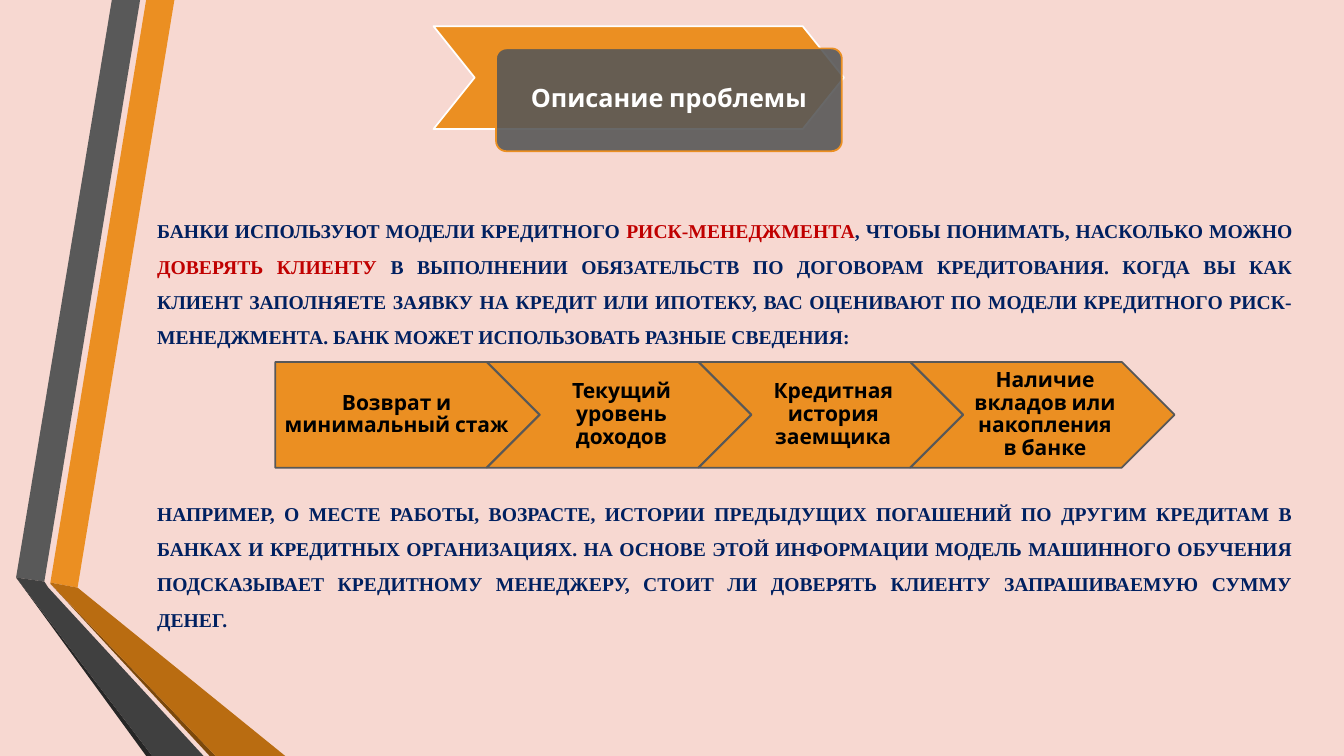
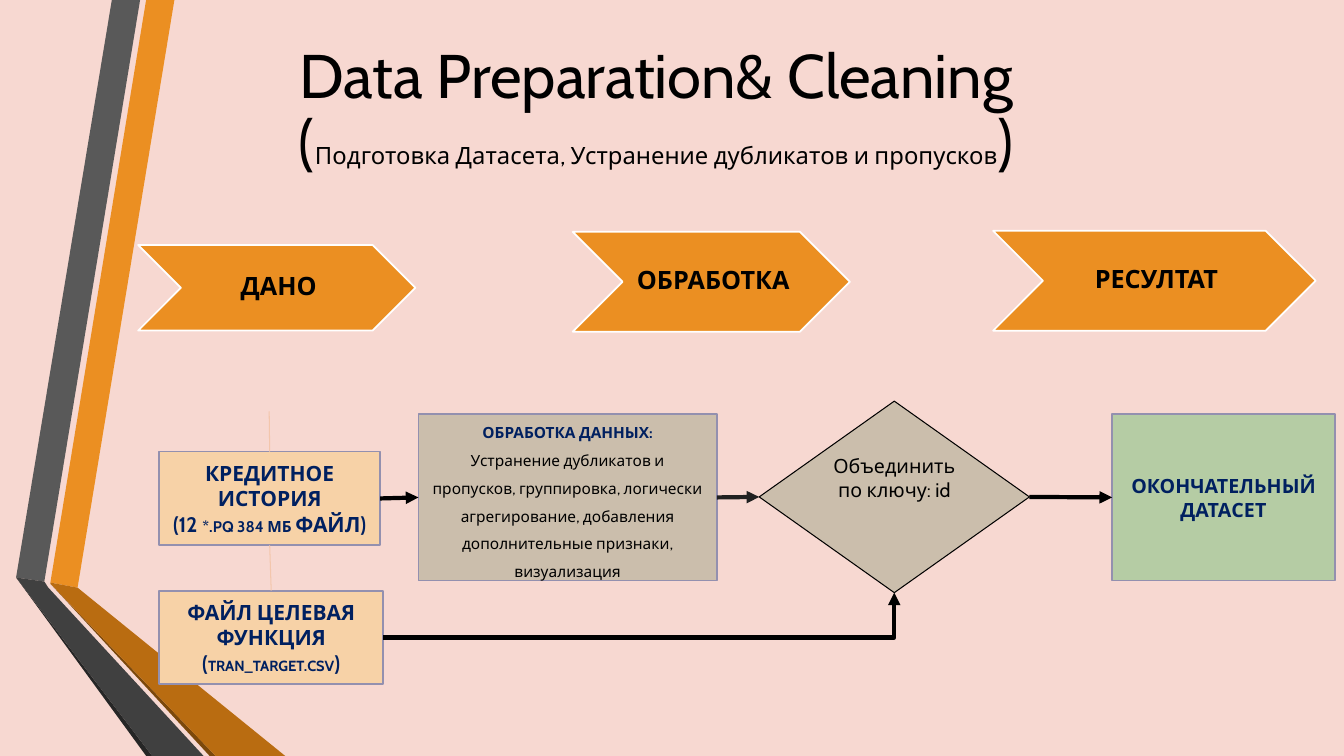
import pptx
import pptx.dml.color
import pptx.enum.shapes
import pptx.enum.text
import pptx.oxml.ns
import pptx.util
from lxml import etree

Inches = pptx.util.Inches
Pt = pptx.util.Pt
SHAPE = pptx.enum.shapes.MSO_SHAPE
CONNECTOR = pptx.enum.shapes.MSO_CONNECTOR
ALIGN = pptx.enum.text.PP_ALIGN
ANCHOR = pptx.enum.text.MSO_ANCHOR
qn = pptx.oxml.ns.qn

# Shared look
FONT, SERIF = "Cabin", "Times New Roman"
PINK, ORANGE, GREY = "F7D8D1", "EB8F22", "585858"
BLACK, WHITE, NAVY, RED = "000000", "FFFFFF", "002060", "C00000"
PEACH, SAND, GREEN, LILAC, THREAD = "F7D2A7", "CBBEAC", "B5CCA4", "9390AF", "F3C6AC"
TOP, LEFT, BOTTOM, RIGHT = range(4)

RIBBONS = [
    (ORANGE, [(0.5, 5.78), (0.77, 5.83), (1.73, 0), (1.45, 0)]),
    ("595959", [(1.39, 0), (1.11, 0), (0.16, 5.73), (0.44, 5.77)]),
    ("262626", [(0.16, 5.73), (1.45, 7.5), (1.51, 7.5)]),
    ("7B480B", [(0.5, 5.79), (2.08, 7.5), (2.14, 7.5)]),
    ("B96C11", [(0.5, 5.79), (2.14, 7.5), (2.83, 7.5), (0.77, 5.83), (0.5, 5.78)]),
    ("404040", [(2.02, 7.5), (0.48, 5.83), (0.44, 5.77), (0.16, 5.73), (1.51, 7.5)]),
]


def rgb(color):
    return pptx.dml.color.RGBColor.from_string(color)


def paint(sp, fill, line=None, width=1.25):
    sp.shadow.inherit = False
    sp.fill.solid()
    sp.fill.fore_color.rgb = rgb(fill)
    if line:
        sp.line.color.rgb = rgb(line)
        sp.line.width = Pt(width)
    else:
        sp.line.fill.background()


def write(sp, paragraphs, size, color=BLACK, bold=False, font=FONT, align=ALIGN.CENTER,
          spacing=1.0, anchor=ANCHOR.MIDDLE, insets=(0.1, 0.05, 0.1, 0.05)):
    """Each paragraph is a list of (text, font overrides) runs."""
    tf = sp.text_frame
    tf.word_wrap = True
    tf.vertical_anchor = anchor
    tf.margin_left, tf.margin_top, tf.margin_right, tf.margin_bottom = map(Inches, insets)
    for i, runs in enumerate(paragraphs):
        p = tf.add_paragraph() if i else tf.paragraphs[0]
        p.alignment, p.line_spacing = align, spacing
        p.font.name, p.font.size, p.font.bold = font, Pt(size), bold
        p.font.color.rgb = rgb(color)
        for text, changes in runs:
            r = p.add_run()
            r.text = text
            if "size" in changes:
                r.font.size = Pt(changes["size"])
            if "color" in changes:
                r.font.color.rgb = rgb(changes["color"])
            if "bold" in changes:
                r.font.bold = changes["bold"]
    return tf


def add_box(slide, kind, at, fill, line, width=1.25):
    sp = slide.shapes.add_shape(kind, *map(Inches, at))
    paint(sp, fill, line, width)
    return sp


def add_text(slide, at, paragraphs, size, **style):
    sp = slide.shapes.add_textbox(*map(Inches, at))
    return write(sp, paragraphs, size, **style)


def add_arrow_label(slide, kind, at, line, text, size, insets):
    sp = add_box(slide, kind, at, ORANGE, line)
    write(sp, [[(text, {})]], size, bold=True, spacing=0.9, insets=insets)


def add_node(slide, at, fill, paragraphs, size, **style):
    sp = add_box(slide, SHAPE.RECTANGLE, at, fill, LILAC)
    write(sp, paragraphs, size, color=NAVY, bold=True, **style)
    return sp


def add_link(slide, end, start=None, start_at=(0, 0), color=BLACK, width=3,
             arrow=True, bent=False):
    """Join start and end, each a (shape, side) pair."""
    kind = CONNECTOR.ELBOW if bent else CONNECTOR.STRAIGHT
    x, y = map(Inches, start_at)
    cx = slide.shapes.add_connector(kind, x, y, x, y)
    if start:
        cx.begin_connect(*start)
    cx.end_connect(*end)
    cx.line.color.rgb = rgb(color)
    cx.line.width = Pt(width)
    spPr = cx.element.spPr
    if bent:
        spPr.find(qn("a:prstGeom")).set("prst", "bentConnector2")
    if arrow:
        etree.SubElement(spPr.find(qn("a:ln")), qn("a:tailEnd"), type="triangle")
    etree.SubElement(spPr, qn("a:effectLst"))


def decorate_master(prs, slide):
    """Set the background and move the side ribbons to the master."""
    master = prs.slide_master
    master.background.fill.solid()
    master.background.fill.fore_color.rgb = rgb(PINK)
    for i, (color, points) in enumerate(RIBBONS):
        corners = [(Inches(x), Inches(y)) for x, y in points]
        builder = slide.shapes.build_freeform(*corners[0])
        builder.add_line_segments(corners[1:], close=True)
        sp = builder.convert_to_shape()
        paint(sp, color)
        sp.element.find(".//" + qn("p:cNvPr")).set("id", str(100 + i))
        master.shapes.element.append(sp.element)


def build_problem(slide):
    # Heading
    ribbon = add_box(slide, SHAPE.CHEVRON, (4.3, 0.26, 4.07, 1.02), ORANGE, WHITE)
    ribbon.adjustments[0] = 0.4
    plate = add_box(slide, SHAPE.ROUNDED_RECTANGLE, (4.92, 0.48, 3.43, 1.02), GREY, ORANGE)
    plate.adjustments[0] = 0.1
    tint = plate.element.spPr.find(qn("a:solidFill")).find(qn("a:srgbClr"))
    etree.SubElement(tint, qn("a:alpha"), val="90000")
    write(plate, [[("Описание проблемы", {})]], 18, color=WHITE, bold=True,
          spacing=0.9, insets=(0.1,) * 4)

    # Body, with room for the chevrons between its paragraphs
    red = {"color": RED}
    tf = add_text(slide, (1.46, 2.01, 11.46, 4.75), [
        [("БАНКИ ИСПОЛЬЗУЮТ МОДЕЛИ КРЕДИТНОГО ", {}),
         ("РИСК-МЕНЕДЖМЕНТА", red),
         (", ЧТОБЫ ПОНИМАТЬ, НАСКОЛЬКО МОЖНО ", {}),
         ("ДОВЕРЯТЬ КЛИЕНТУ ", red),
         ("В ВЫПОЛНЕНИИ ОБЯЗАТЕЛЬСТВ ПО ДОГОВОРАМ КРЕДИТОВАНИЯ. КОГДА ВЫ КАК КЛИЕНТ "
          "ЗАПОЛНЯЕТЕ ЗАЯВКУ НА КРЕДИТ ИЛИ ИПОТЕКУ, ВАС ОЦЕНИВАЮТ ПО МОДЕЛИ КРЕДИТНОГО "
          "РИСК-МЕНЕДЖМЕНТА. БАНК МОЖЕТ ИСПОЛЬЗОВАТЬ РАЗНЫЕ СВЕДЕНИЯ:", {})],
        [("НАПРИМЕР, О МЕСТЕ РАБОТЫ, ВОЗРАСТЕ, ИСТОРИИ ПРЕДЫДУЩИХ ПОГАШЕНИЙ ПО ДРУГИМ "
          "КРЕДИТАМ В БАНКАХ И КРЕДИТНЫХ ОРГАНИЗАЦИЯХ. НА ОСНОВЕ ЭТОЙ ИНФОРМАЦИИ МОДЕЛЬ "
          "МАШИННОГО ОБУЧЕНИЯ ПОДСКАЗЫВАЕТ КРЕДИТНОМУ МЕНЕДЖЕРУ, СТОИТ ЛИ ДОВЕРЯТЬ "
          "КЛИЕНТУ ЗАПРАШИВАЕМУЮ СУММУ ДЕНЕГ.", {})],
    ], 14, color=NAVY, bold=True, font=SERIF, align=ALIGN.JUSTIFY, spacing=1.5,
        anchor=ANCHOR.TOP)
    tf.paragraphs[1].space_before = Pt(101)

    # Kinds of client data
    facts = ["Возврат и минимальный стаж", "Текущий уровень доходов",
             "Кредитная история заемщика", "Наличие вкладов или накопления в банке"]
    for i, fact in enumerate(facts):
        kind = SHAPE.CHEVRON if i else SHAPE.PENTAGON
        add_arrow_label(slide, kind, (2.73 + 2.1 * i, 3.59, 2.62, 1.05), GREY, fact, 15,
                        (0.07, 0.04, 0.02, 0.04))


def build_preparation(slide):
    # Title
    add_text(slide, (0.76, 0.26, 11.5, 1.69), [
        [("Data Preparation& Cleaning", {})],
        [("(", {}),
         ("Подготовка Датасета, Устранение дубликатов и пропусков", {"size": 17}),
         (")", {})],
    ], 44, spacing=0.9)

    # Stages
    for at, stage in [((1.37, 2.43, 2.75, 0.85), "ДАНО"),
                      ((5.68, 2.3, 2.75, 0.99), "ОБРАБОТКА"),
                      ((9.85, 2.29, 3.2, 0.99), "РЕСУЛТАТ")]:
        add_arrow_label(slide, SHAPE.CHEVRON, at, WHITE, stage, 18,
                        (0.06, 0.02, 0.02, 0.02))

    # Flow nodes
    history = add_node(slide, (1.58, 4.48, 2.19, 0.93), PEACH, [
        [("КРЕДИТНОЕ ИСТОРИЯ", {})],
        [("(12 ", {}), ("*.PQ 384 МБ ", {"size": 11}), ("ФАЙЛ)", {})],
    ], 15)
    target = add_node(slide, (1.58, 5.86, 2.22, 0.93), PEACH, [
        [("ФАЙЛ ЦЕЛЕВАЯ ФУНКЦИЯ (", {}), ("TRAN_TARGET.CSV", {"size": 10.5}), (")", {})],
    ], 15)
    process = add_node(slide, (4.15, 4.11, 2.96, 1.65), SAND, [
        [("ОБРАБОТКА ДАННЫХ:", {})],
        [("Устранение дубликатов и пропусков, группировка, логически агрегирование, "
          "добавления дополнительные признаки, визуализация",
          {"color": BLACK, "bold": False})],
    ], 11, spacing=1.5)
    merge = add_box(slide, SHAPE.FLOWCHART_DECISION, (7.53, 3.98, 2.68, 1.9), SAND, BLACK, 0.75)
    write(merge, [[("Объединить по ключу: id", {})]], 14, anchor=ANCHOR.TOP,
          insets=(0, 0.05, 0, 0.05))
    dataset = add_node(slide, (11.03, 4.11, 2.21, 1.65), GREEN,
                       [[("ОКОНЧАТЕЛЬНЫЙ ДАТАСЕТ", {})]], 14)

    # Links
    thread = {"color": THREAD, "width": 0.75, "arrow": False}
    add_link(slide, (history, TOP), start_at=(2.67, 4.08), **thread)
    add_link(slide, (target, TOP), (history, BOTTOM), **thread)
    add_link(slide, (merge, BOTTOM), (target, RIGHT), bent=True)
    add_link(slide, (dataset, LEFT), (merge, RIGHT))
    add_link(slide, (merge, LEFT), (process, RIGHT), color="212121")
    add_link(slide, (process, LEFT), (history, RIGHT))


def main():
    prs = pptx.Presentation()
    prs.slide_width, prs.slide_height = Inches(13.33), Inches(7.5)
    blank = prs.slide_layouts[6]
    problem, preparation = [prs.slides.add_slide(blank) for _ in range(2)]
    decorate_master(prs, problem)
    build_problem(problem)
    build_preparation(preparation)
    prs.save("out.pptx")


if __name__ == "__main__":
    main()
